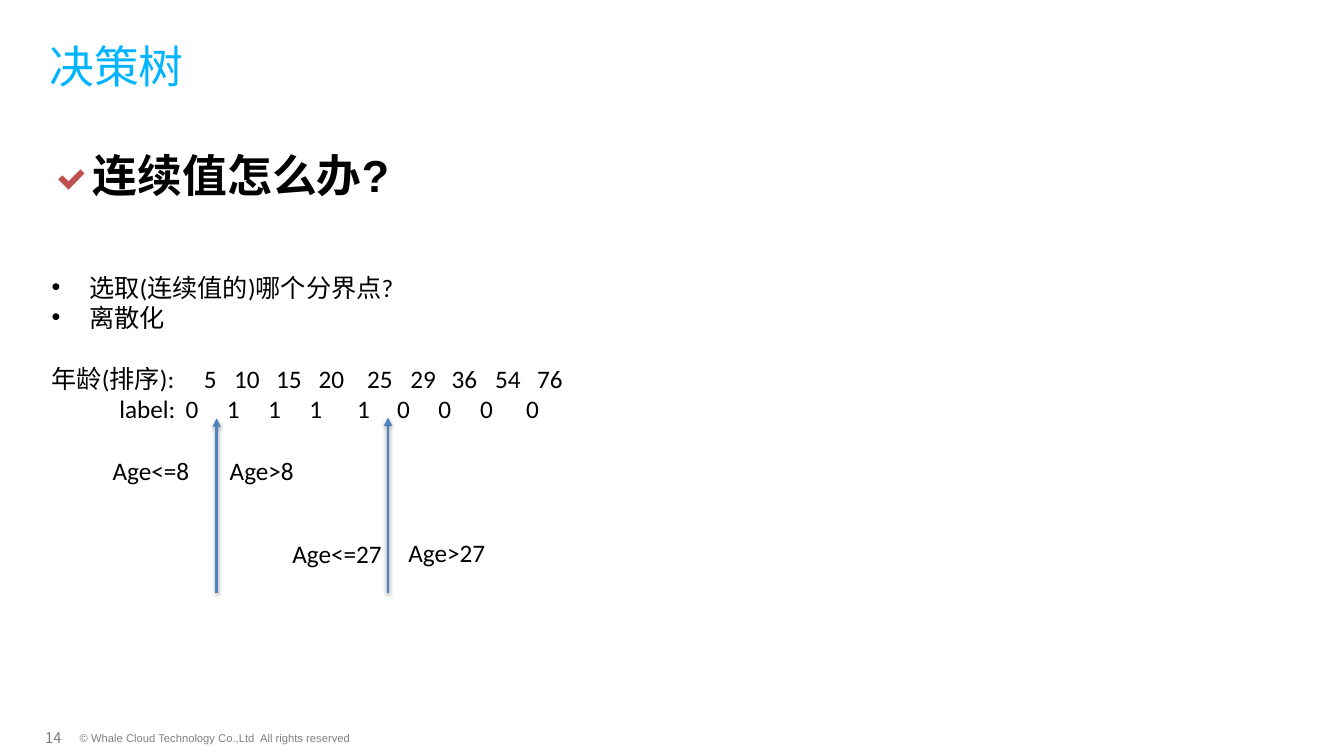
from lxml import etree
from pptx import Presentation
from pptx.dml.color import RGBColor
from pptx.enum.shapes import MSO_CONNECTOR
from pptx.enum.text import MSO_ANCHOR
from pptx.oxml import parse_xml
from pptx.util import Cm, Pt

LINE = MSO_CONNECTOR.STRAIGHT
TOP = MSO_ANCHOR.TOP
MIDDLE = MSO_ANCHOR.MIDDLE
NS = "http://schemas.openxmlformats.org/drawingml/2006/main"
CJK = "Noto Sans CJK SC"
TITLE_ONLY = 5


def rgb(code):
    return RGBColor.from_string(code)


def write(shape, lines, size=18, face="Calibri", color="000000", bold=False, anchor=TOP):
    """Fill a shape with one run per line, without insets."""
    frame = shape.text_frame
    frame.word_wrap = True
    frame.vertical_anchor = anchor
    frame.margin_left = frame.margin_right = 0
    frame.margin_top = frame.margin_bottom = 0
    for i, line in enumerate(lines):
        para = frame.add_paragraph() if i else frame.paragraphs[0]
        run = para.add_run()
        run.text = line
        font = run.font
        font.size, font.name, font.bold = Pt(size), face, bold
        font.color.rgb = rgb(color)
        latin = run._r.rPr.find(f"{{{NS}}}latin")
        east = etree.Element(f"{{{NS}}}ea", typeface=CJK)
        latin.addnext(east)
    return frame.paragraphs


deck = Presentation()
deck.slide_width, deck.slide_height = Cm(33.87), Cm(19.05)
slide = deck.slides.add_slide(deck.slide_layouts[TITLE_ONLY])
shapes = slide.shapes

# Title
title = shapes.title
title.left, title.top, title.width, title.height = Cm(1.24), Cm(0.97), Cm(24.64), Cm(1.83)
para = write(title, ["决策树"], 32, color="00B4FF")[0]
para.alignment = 1

# Footer
box = shapes.add_textbox(Cm(2.01), Cm(18.44), Cm(8.1), Cm(0.64))
write(box, ["© Whale Cloud Technology Co.,Ltd  All rights reserved"], 8, "Arial", "808080")
box = shapes.add_textbox(Cm(1.14), Cm(17.91), Cm(1.2), Cm(1.35))
write(box, ["14"], 10.5, CJK, "808080", anchor=MIDDLE)

# Heading with check mark
box = shapes.add_textbox(Cm(2.34), Cm(3.73), Cm(11.33), Cm(1.57))
write(box, ["连续值怎么办?"], 32, "Arial", bold=True)
points = [(2.03, 4.27), (2.13, 4.37), (1.73, 4.78), (1.47, 4.52), (1.57, 4.42), (1.73, 4.57)]
spots = [(Cm(x), Cm(y)) for x, y in points]
path = shapes.build_freeform(*spots[0])
path.add_line_segments(spots[1:])
check = path.convert_to_shape()
check.shadow.inherit = False
check.fill.solid()
check.fill.fore_color.rgb = rgb("C0504D")
check.line.fill.background()

# Questions, then sorted ages with their labels set on tab stops
ages = [5, 10, 15, 20, 25, 29, 36, 54, 76]
labels = [0, 1, 1, 1, 1, 0, 0, 0, 0]
age_tabs = [3.84, 4.6, 5.66, 6.73, 7.95, 9.04, 10.08, 11.18, 12.24]
label_tabs = [1.71, 3.38, 4.42, 5.46, 6.5, 7.7, 8.71, 9.75, 10.8, 11.96]
box = shapes.add_textbox(Cm(1.3), Cm(6.85), Cm(22.35), Cm(9.1))
paras = write(box, [
    "选取(连续值的)哪个分界点?",
    "离散化",
    "\t".join(["年龄(排序):", *map(str, ages)]),
    "\t".join(["", "label:", *map(str, labels)]),
])
for para in paras[:2]:
    props = para._p.get_or_add_pPr()
    props.set("marL", str(Cm(0.95)))
    props.set("indent", str(-Cm(0.95)))
    etree.SubElement(props, f"{{{NS}}}buFont", typeface="Arial")
    etree.SubElement(props, f"{{{NS}}}buChar", char="•")
for para, stops in zip(paras[2:], (age_tabs, label_tabs)):
    tabs = etree.SubElement(para._p.get_or_add_pPr(), f"{{{NS}}}tabLst")
    for stop in stops:
        etree.SubElement(tabs, f"{{{NS}}}tab", pos=str(Cm(stop)), algn="l")
paras[2].space_before = Pt(22)

# Split arrows
for x, tip in [(5.46, 10.54), (9.78, 10.52)]:
    arrow = shapes.add_connector(LINE, Cm(x), Cm(14.94), Cm(x), Cm(tip))
    arrow.line.color.rgb = rgb("4F81BD")
    arrow.line.width = Pt(2)
    etree.SubElement(arrow.line._get_or_add_ln(), f"{{{NS}}}tailEnd", type="triangle")
    arrow._element.spPr.append(parse_xml(
        f'<a:effectLst xmlns:a="{NS}"><a:outerShdw blurRad="40000" dist="20000" '
        'dir="5400000" rotWithShape="0"><a:srgbClr val="000000">'
        '<a:alpha val="38000"/></a:srgbClr></a:outerShdw></a:effectLst>'))

# Conditions on each side of the splits
for text, x, y in [("Age<=8", 2.84, 11.48), ("Age>8", 5.79, 11.48),
                   ("Age<=27", 7.37, 13.56), ("Age>27", 10.29, 13.54)]:
    box = shapes.add_textbox(Cm(x), Cm(y), Cm(3), Cm(0.76))
    write(box, [text])

deck.save("out.pptx")
